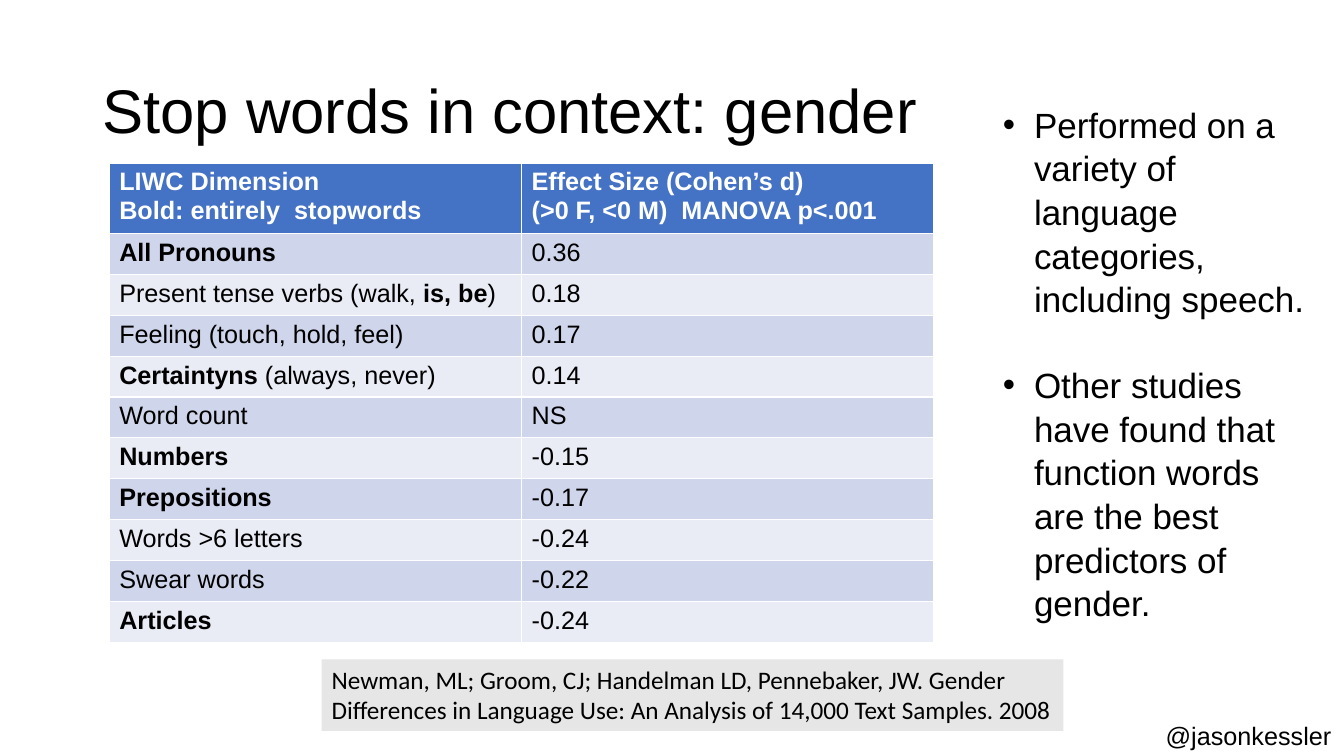
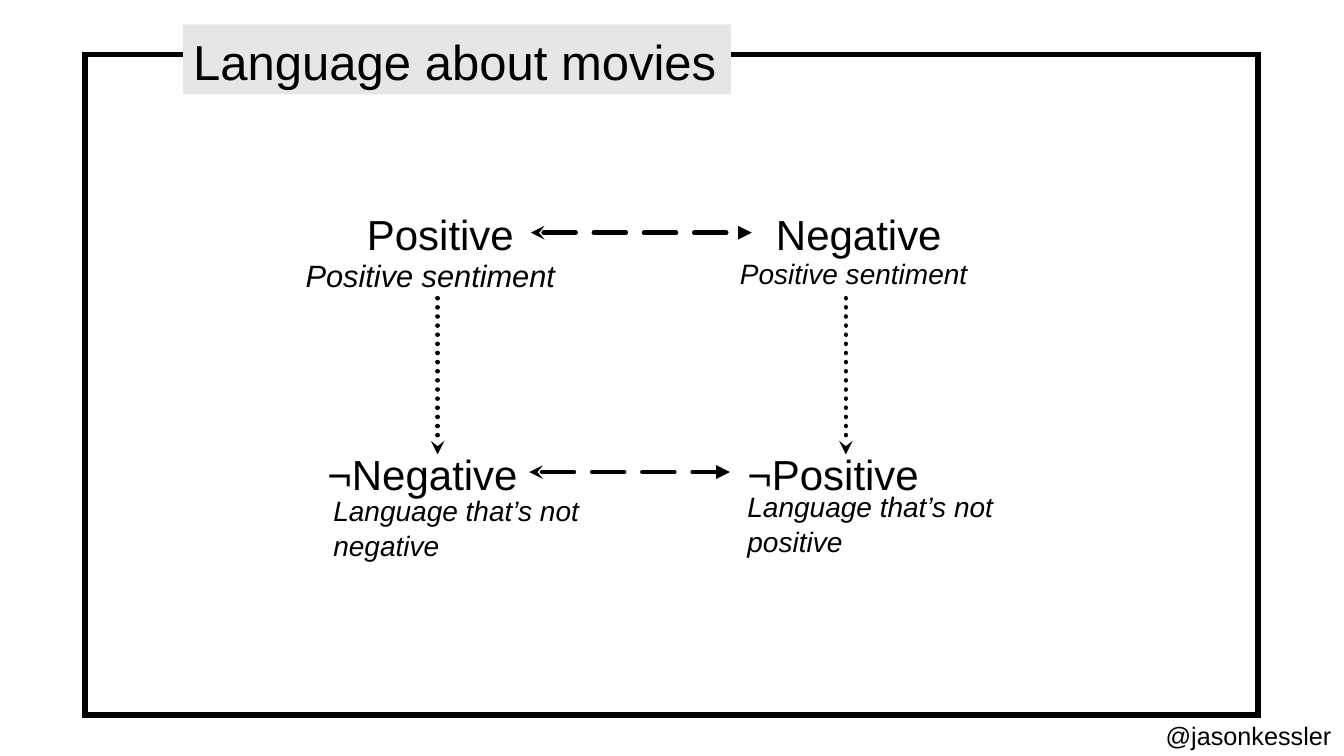
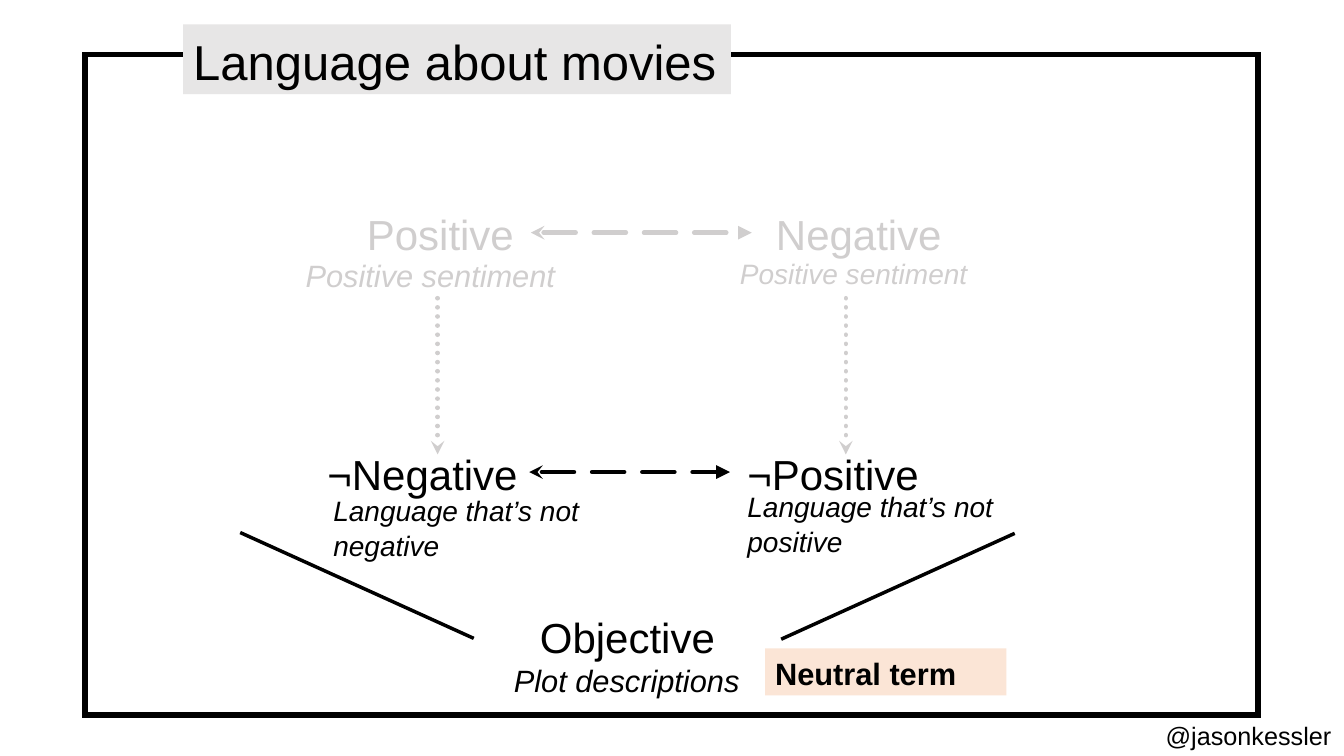
from lxml import etree
from pptx import Presentation, util as u
from pptx.dml.color import RGBColor
from pptx.enum import dml, shapes, text
from pptx.oxml.ns import qn

COLORS = {
    "ink": "000000", "muted": "D0CECE", "panel": "E7E6E6", "tag": "FBE5D6",
    "header": "4472C4", "odd": "CFD5EA", "even": "E9EBF5", "white": "FFFFFF",
}
CELL = u.Inches(1) / 12
COLS, ROWS = 160, 90
LOOSE = 1.04

EFFECTS = [
    "*LIWC Dimension*\n*Bold: entirely  stopwords*|*Effect Size (Cohen’s d)*\n*(>0 F, <0 M)  MANOVA p<.001*",
    "*All Pronouns*|0.36",
    "Present tense verbs (walk, *is, be*)|0.18",
    "Feeling (touch, hold, feel)|0.17",
    "*Certaintyns *(always, never)|0.14",
    "Word count|NS",
    "*Numbers*|-0.15",
    "*Prepositions*|-0.17",
    "Words >6 letters|-0.24",
    "Swear words|-0.22",
    "*Articles*|-0.24",
]


def grid(*cells):
    return [u.Emu(round(c * CELL)) for c in cells]


def rgb(name):
    return RGBColor.from_string(COLORS[name])


class Deck:
    """Holds the shared style and the current slide of a 160 by 90 cell grid."""

    def __init__(self):
        self.prs = Presentation()
        self.prs.slide_width, self.prs.slide_height = grid(COLS, ROWS)

    def slide(self):
        self.s = self.prs.slides.add_slide(self.prs.slide_layouts[5])
        self.text((137.6, 85, 22.3, 4.8), "@jasonkessler", 18, wrap=False)

    def put_words(self, sp, words, size, color="ink", font="Arial", spacing=LOOSE,
                  wrap=True, bold=False, italic=False, anchor=text.MSO_ANCHOR.TOP):
        tf = sp.text_frame
        tf.text = words
        tf.word_wrap = wrap
        tf.auto_size = text.MSO_AUTO_SIZE.NONE if wrap else text.MSO_AUTO_SIZE.SHAPE_TO_FIT_TEXT
        tf.vertical_anchor = anchor
        for p in tf.paragraphs:
            p.alignment = text.PP_ALIGN.LEFT
            p.line_spacing = spacing
            for r in p.runs:
                self.style(r, size, color, font, bold, italic)
        return sp

    def style(self, r, size, color, font="Arial", bold=False, italic=False):
        r.font.name, r.font.size = font, u.Pt(size)
        r.font.bold, r.font.italic = bold, italic
        r.font.color.rgb = rgb(color)

    def title(self, at, words, size, fill=None, **look):
        sp = self.s.shapes.title
        sp.left, sp.top, sp.width, sp.height = grid(*at)
        if fill:
            sp.fill.solid()
            sp.fill.fore_color.rgb = rgb(fill)
        self.put_words(sp, words, size, **look)
        sp.element.getparent().append(sp.element)

    def text(self, at, words, size, **look):
        return self.put_words(self.s.shapes.add_textbox(*grid(*at)), words, size, **look)

    def bullets(self, at, items, size, gap):
        sp = self.text(at, "\n".join(items), size)
        for i, p in enumerate(sp.text_frame.paragraphs):
            if i:
                p.space_before = u.Pt(gap)
            pPr = p._p.get_or_add_pPr()
            indent = u.Inches(0.31)
            pPr.set("marL", str(indent))
            pPr.set("indent", str(-indent))
            etree.SubElement(pPr, qn("a:buFont"), typeface="Arial")
            etree.SubElement(pPr, qn("a:buChar"), char="•")

    def panel(self, at, fill, words, size, **look):
        sp = self.s.shapes.add_shape(shapes.MSO_SHAPE.RECTANGLE, *grid(*at))
        sp.shadow.inherit = False
        sp.fill.solid()
        sp.fill.fore_color.rgb = rgb(fill)
        sp.line.fill.background()
        self.put_words(sp, words, size, **look)

    def frame(self, at, width):
        sp = self.s.shapes.add_shape(shapes.MSO_SHAPE.RECTANGLE, *grid(*at))
        sp.shadow.inherit = False
        sp.fill.background()
        sp.line.color.rgb = rgb("ink")
        sp.line.width = u.Pt(width)
        etree.SubElement(sp.element.spPr.find(qn("a:ln")), qn("a:miter"), lim="800000")

    def line(self, start, end, width, color="ink", dash=None, head=None, tail=None):
        c = self.s.shapes.add_connector(shapes.MSO_CONNECTOR.STRAIGHT, *grid(*start, *end))
        c.line.color.rgb = rgb(color)
        c.line.width = u.Pt(width)
        spPr = c.element.spPr
        ln = spPr.find(qn("a:ln"))
        if dash:
            c.line.dash_style = dash
            ln.set("cap", "rnd")
        for tag, kind in (("a:headEnd", head), ("a:tailEnd", tail)):
            if kind:
                etree.SubElement(ln, qn(tag), type=kind)
        etree.SubElement(spPr, qn("a:effectLst"))

    def opposition(self, start, end, color="ink"):
        self.line(start, end, 3.25, color, dml.MSO_LINE.LONG_DASH, "stealth", "triangle")

    def implication(self, start, end, color="ink"):
        self.line(start, end, 3.25, color, dml.MSO_LINE.ROUND_DOT, tail="stealth")

    def table(self, at, rows, header_height, size):
        cells = [row.split("|") for row in rows]
        tbl = self.s.shapes.add_table(len(cells), len(cells[0]), *grid(*at)).table
        row_height = (at[3] - header_height) / (len(cells) - 1)
        for i, row in enumerate(cells):
            tbl.rows[i].height = grid(row_height if i else header_height)[0]
            fill = ("even", "odd")[i % 2] if i else "header"
            for j, words in enumerate(row):
                cell = tbl.cell(i, j)
                cell.fill.solid()
                cell.fill.fore_color.rgb = rgb(fill)
                self.marked(cell.text_frame, words, size, "ink" if i else "white")

    def marked(self, tf, words, size, color):
        for k, line in enumerate(words.split("\n")):
            p = tf.add_paragraph() if k else tf.paragraphs[0]
            for n, part in enumerate(line.split("*")):
                if part:
                    r = p.add_run()
                    r.text = part
                    self.style(r, size, color, bold=n % 2 == 1)


def gender_slide(d):
    d.slide()
    d.title((11, 4.8, 138, 17.4), "Stop words in context: gender", 44,
            spacing=0.9, anchor=text.MSO_ANCHOR.MIDDLE)
    d.panel((38.3, 78.5, 88.3, 8.5), "panel",
            "Newman, ML; Groom, CJ; Handelman LD, Pennebaker, JW. Gender Differences in "
            "Language Use: An Analysis of 14,000 Text Samples. 2008",
            18, font="Calibri", spacing=1)
    d.table((13, 19.4, 98.2, 57.1), EFFECTS, 8.4, 18)
    d.bullets((118.2, 11.5, 38.3, 66.8), [
        "Performed on a variety of language categories, including speech.",
        "Other studies have found that function words are the best predictors of gender.",
    ], 25, 30)


def movies_slide(d, top="ink"):
    d.slide()
    d.frame((10.1, 6.5, 139.7, 78.6), 4)
    d.title((21.8, 2.9, 65.2, 8.3), "Language about movies", 35, fill="panel")

    d.text((42.5, 24, 20, 7.3), "Positive", 30, color=top, wrap=False)
    d.text((91.2, 24, 22.3, 7.3), "Negative", 30, color=top, wrap=False)
    d.text((35.2, 29.8, 32.5, 5.6), "Positive sentiment", 22, color=top, wrap=False, italic=True)
    d.text((86.9, 29.8, 29.8, 5.3), "Positive sentiment", 20, color=top, wrap=False, italic=True)
    d.opposition((63.2, 27.7), (89.5, 27.7), top)
    for x in (52.1, 100.7):
        d.implication((x, 35.5), (x, 54.1), top)

    for x, note_x, note_y, word in ((37.8, 38.5, 58, "Negative"), (87.8, 87.8, 57.5, "Positive")):
        d.text((x, 52.6, 26, 7.3), "¬" + word, 30)
        d.text((note_x, note_y, 42.7, 9.2), f"Language that’s not {word.lower()}", 20, italic=True)
    d.opposition((63, 56.2), (86.9, 56.2))


def neutral_slide(d):
    movies_slide(d, "muted")
    d.line((93, 76.1), (120.8, 63.5), 2.5)
    d.line((56.4, 76), (28.6, 63.4), 2.5)
    d.text((63.1, 72, 23.4, 7.3), "Objective", 30, wrap=False)
    d.text((60, 78, 29.6, 5.6), "Plot descriptions", 22, wrap=False, italic=True)
    d.panel((91.1, 77.2, 28.7, 5.6), "tag", "Neutral term", 22, bold=True)


def main():
    d = Deck()
    gender_slide(d)
    movies_slide(d)
    neutral_slide(d)
    d.prs.save("out.pptx")


if __name__ == "__main__":
    main()
